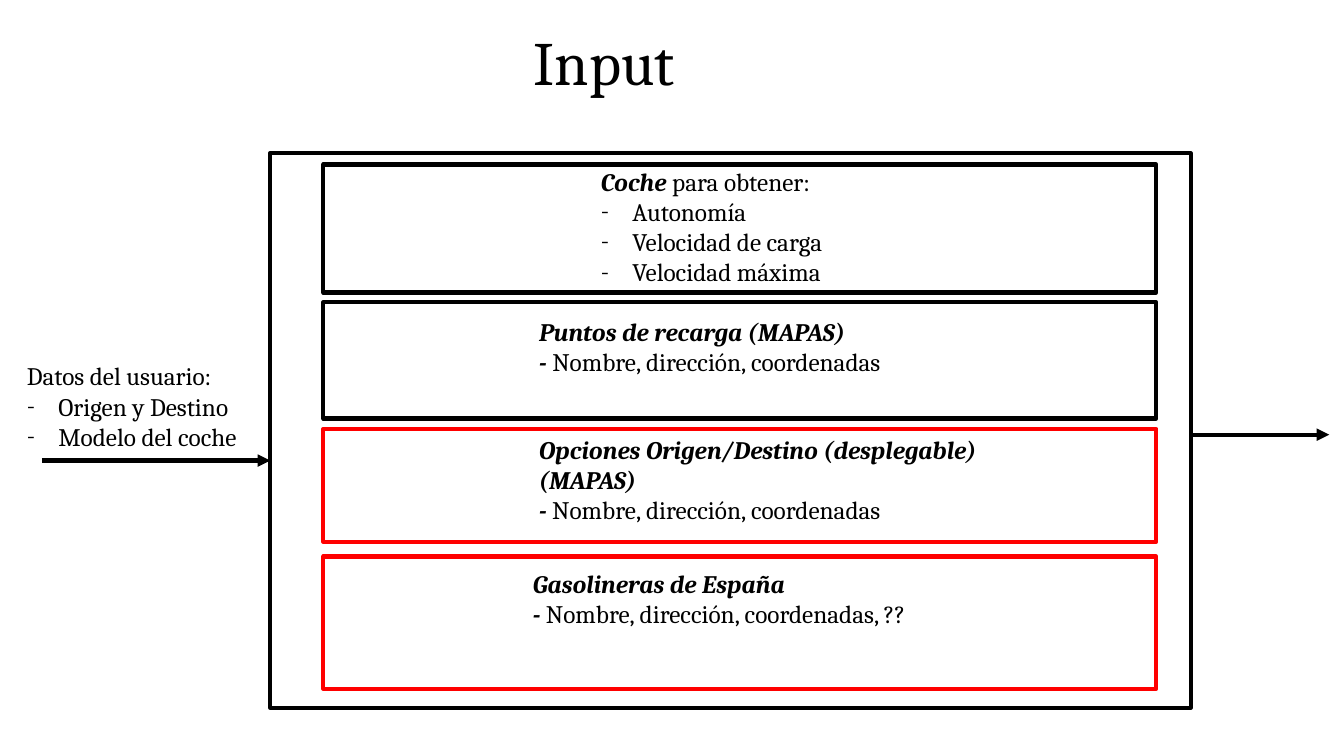
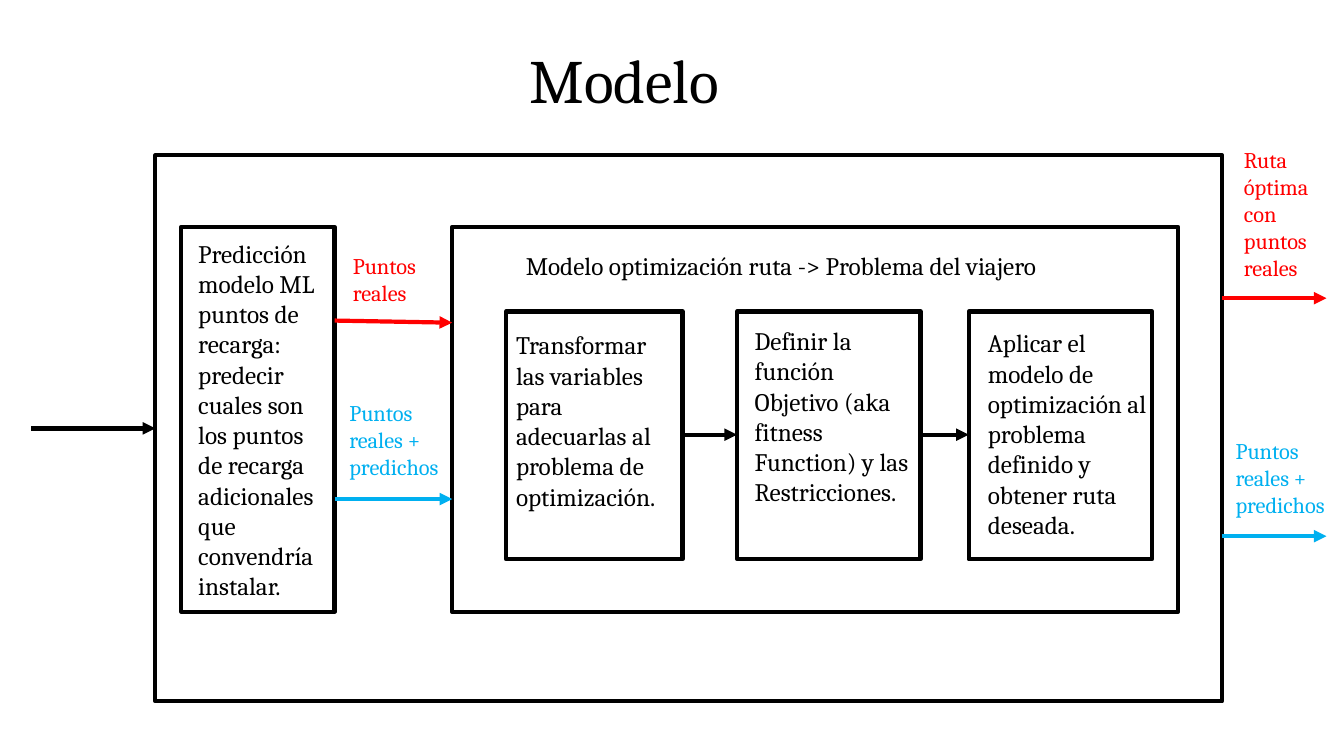
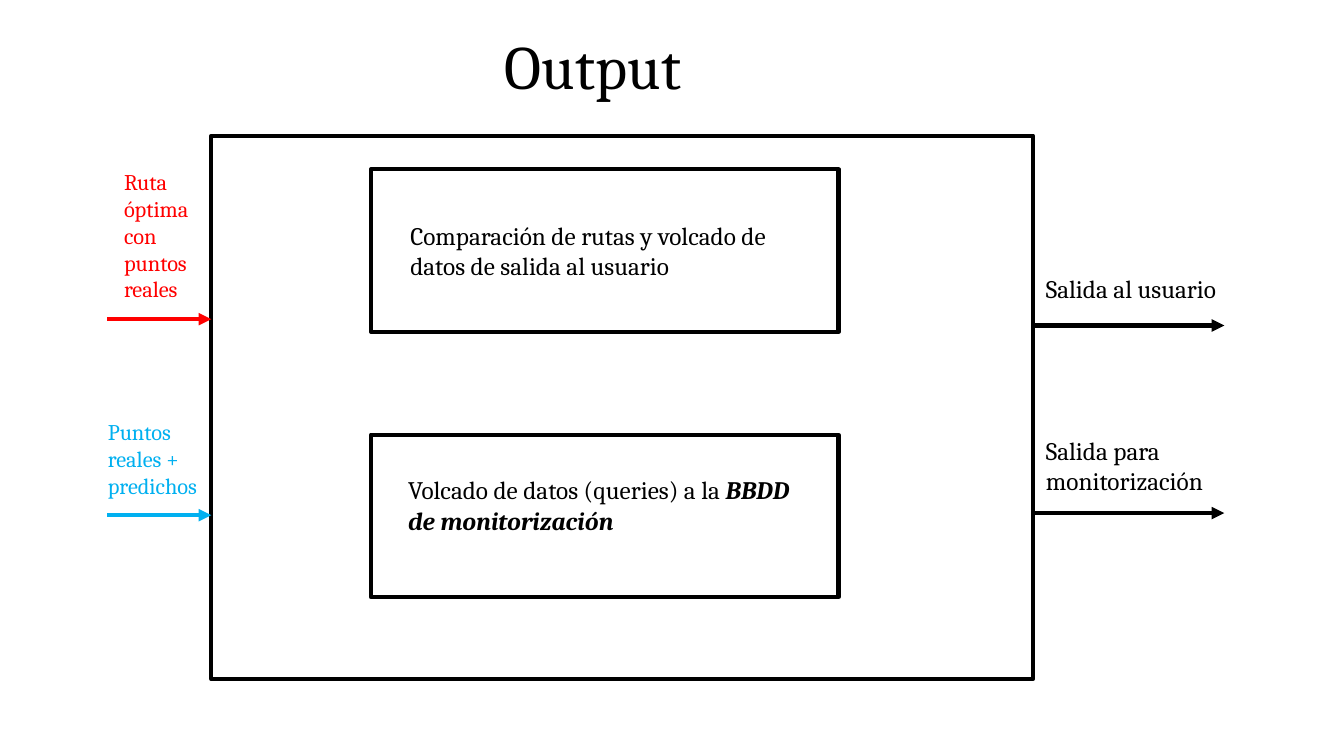
"""Build three flow diagrams: input, model and output of a route planner."""
from lxml import etree
from pptx import Presentation
from pptx import util as u
from pptx.dml import color as c
from pptx.enum import shapes, text
from pptx.oxml import ns

COLORS = {"ink": "000000", "real": "FF0000", "predicted": "00B0F0"}
FONT = "Cambria"
TITLE_ONLY, TWO_LISTS = 5, 3


def rgb(name):
    return c.RGBColor.from_string(COLORS[name])


def add_xml(parent, tag, **attributes):
    etree.SubElement(parent, ns.qn(tag), **attributes)


def write(tf, lines, size=18, color="ink", bullets=False, spacing=1.0,
          anchor=text.MSO_ANCHOR.TOP, wrap=True):
    """Fill a frame; *marked* words are bold italic, bullets follow line one."""
    tf.word_wrap = wrap
    tf.auto_size = text.MSO_AUTO_SIZE.NONE
    tf.vertical_anchor = anchor
    for i, line in enumerate(lines):
        p = tf.add_paragraph() if i else tf.paragraphs[0]
        p.alignment = text.PP_ALIGN.LEFT
        p.line_spacing = spacing
        p.space_before = p.space_after = u.Pt(0)
        bulleted = bullets and i > 0
        indent = u.Pt(22.5) if bulleted else 0
        pPr = p._p.get_or_add_pPr()
        pPr.set("marL", str(indent))
        pPr.set("indent", str(-indent))
        if bulleted:
            add_xml(pPr, "a:buFont", typeface=FONT)
            add_xml(pPr, "a:buChar", char="-")
        else:
            add_xml(pPr, "a:buNone")
        for j, part in enumerate(line.split("*")):
            if part:
                r = p.add_run()
                r.text = part
                r.font.name, r.font.size = FONT, u.Pt(size)
                r.font.color.rgb = rgb(color)
                r.font.bold = r.font.italic = j % 2 == 1


class Deck:
    """Hold the presentation, its style and the current slide."""

    def __init__(self):
        self.prs = Presentation()
        self.prs.slide_width, self.prs.slide_height = u.Pt(960), u.Pt(540)

    def place(self, sp, at):
        sp.left, sp.top, sp.width, sp.height = map(u.Pt, at)

    def slide(self, title, at, layout=TITLE_ONLY):
        self.s = self.prs.slides.add_slide(self.prs.slide_layouts[layout])
        sp = self.s.shapes.title
        self.place(sp, at)
        write(sp.text_frame, [title], size=44, spacing=0.9,
              anchor=text.MSO_ANCHOR.MIDDLE)

    def bullets(self, idx, at, *lines):
        sp = self.s.placeholders[idx]
        self.place(sp, at)
        write(sp.text_frame, lines, bullets=True)

    def label(self, at, *lines, **style):
        sp = self.s.shapes.add_textbox(*map(u.Pt, at))
        write(sp.text_frame, lines, **style)

    def outline(self, sp, color):
        sp.line.color.rgb = rgb(color)
        sp.line.width = u.Pt(3)

    def box(self, at, color="ink"):
        sp = self.s.shapes.add_shape(shapes.MSO_SHAPE.RECTANGLE, *map(u.Pt, at))
        sp.shadow.inherit = False
        sp.fill.background()
        self.outline(sp, color)

    def arrow(self, x1, y1, x2, y2=None, color="ink"):
        y2 = y1 if y2 is None else y2
        sp = self.s.shapes.add_connector(
            shapes.MSO_CONNECTOR.STRAIGHT, *map(u.Pt, (x1, y1, x2, y2)))
        self.outline(sp, color)
        spPr = sp._element.spPr
        add_xml(spPr.find(ns.qn("a:ln")), "a:tailEnd", type="triangle")
        add_xml(spPr, "a:effectLst")

    def flow(self, words, color, corner, ends):
        size = (70, 103) if color == "real" else (81.5, 83.5)
        self.label((*corner, *size), words, size=16, color=color)
        self.arrow(*ends, color=color)


BEST_ROUTE = "Ruta óptima con puntos reales"
ALL_POINTS = "Puntos reales + predichos"
PLACE = "*- *Nombre, dirección, coordenadas"
deck = Deck()

deck.slide("Input", (374, 15, 212, 64), TWO_LISTS)
deck.box((193, 109.5, 657.5, 396))
for top, height, color in ((117.5, 91.5, "ink"), (216, 83, "ink"),
                           (306.5, 80.5, "real"), (397.5, 94.5, "real")):
    deck.box((231, top, 595, height), color)
deck.bullets(1, (12, 254, 202, 72), "Datos del usuario:",
             "Origen y Destino", "Modelo del coche")
deck.bullets(2, (422, 115, 212, 115), "*Coche *para obtener:",
             "Autonomía", "Velocidad de carga", "Velocidad máxima")
deck.label((378, 222.5, 351, 72), "*Puntos de recarga (MAPAS)*", PLACE)
deck.label((378, 306.5, 368, 72),
           "*Opciones Origen/Destino (desplegable) (MAPAS)*", PLACE)
deck.label((373.5, 402.5, 368, 50), "*Gasolineras de España*", PLACE + ", ??")
deck.arrow(30, 329, 193)
deck.arrow(850.5, 310.5, 949.5)

deck.slide("Modelo", (371, 28, 218, 64))
deck.box((111, 111, 762, 390))
deck.box((129.5, 162, 109.5, 275))
deck.label((134.5, 166.5, 104.5, 310),
           "Predicción modelo ML puntos de recarga: predecir cuales son los "
           "puntos de recarga adicionales que convendría instalar.")
deck.box((323, 162, 518.5, 275))
deck.label((368.5, 175.5, 460, 29),
           "Modelo optimización ruta -> Problema del viajero", wrap=False)
steps = (
    (361.5, 126, 361.5, 232,
     ["Transformar las variables para adecuarlas al problema de optimización."]),
    (526.5, 131, 532, 229,
     ["Definir la función", "Objetivo (aka fitness", "Function) y las",
      "Restricciones."]),
    (692, 131, 698.5, 230.5,
     ["Aplicar el modelo de optimización al problema definido y obtener "
      "ruta deseada."]),
)
for left, width, text_left, text_top, lines in steps:
    deck.box((left, 222.5, width, 177))
    deck.label((text_left, text_top, width, 180), *lines)
for step, following in zip(steps, steps[1:]):
    deck.arrow(step[0] + step[1], 310.5, following[0])
deck.arrow(22.5, 306, 111)
deck.flow("Puntos reales", "real", (245, 176.5), (239, 229, 323, 230.5))
deck.flow(ALL_POINTS, "predicted", (242.5, 281.5), (239, 356.5, 323))
deck.flow(BEST_ROUTE, "real", (881.5, 101), (873, 213, 947.5))
deck.flow(ALL_POINTS, "predicted", (875.5, 309), (873, 383, 947.5))

deck.slide("Output", (353.5, 18, 188, 64))
deck.box((151, 97, 587, 388))
for top in (121, 310.5):
    deck.box((265, top, 334, 116))
deck.label((286, 154, 275, 72),
           "Comparación de rutas y volcado de datos de salida al usuario")
deck.label((284.5, 335.5, 296, 50),
           "Volcado de datos (queries) a la *BBDD de monitorización*")
deck.flow(BEST_ROUTE, "real", (81.5, 116.5), (76.5, 228, 151))
deck.flow(ALL_POINTS, "predicted", (70, 295), (76.5, 368, 151))
deck.label((740, 192, 148.5, 50), "Salida al usuario")
deck.label((740, 307.5, 134.5, 72), "Salida para monitorización")
for y in (232.5, 366.5):
    deck.arrow(738, y, 874.5)

deck.prs.save("out.pptx")
